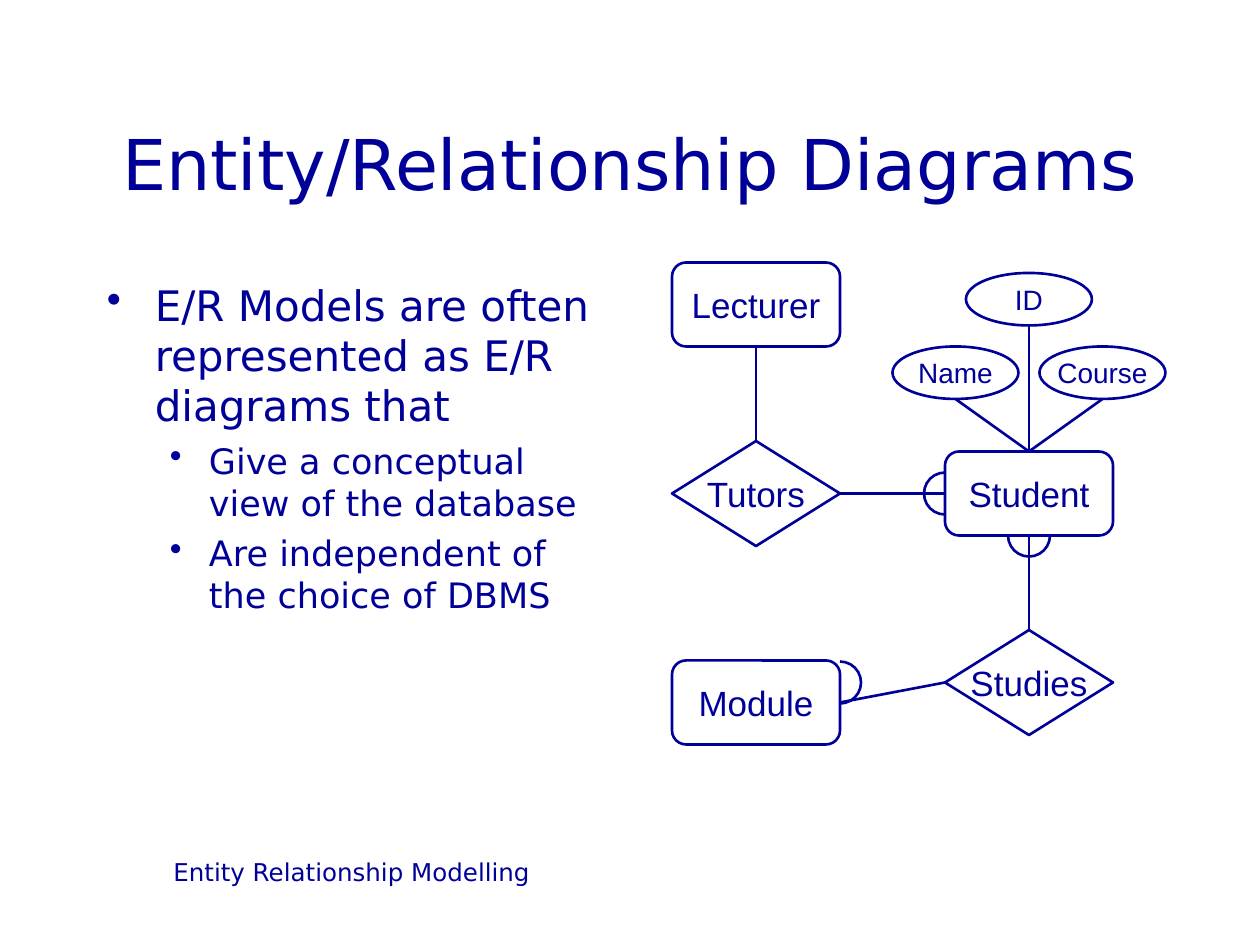
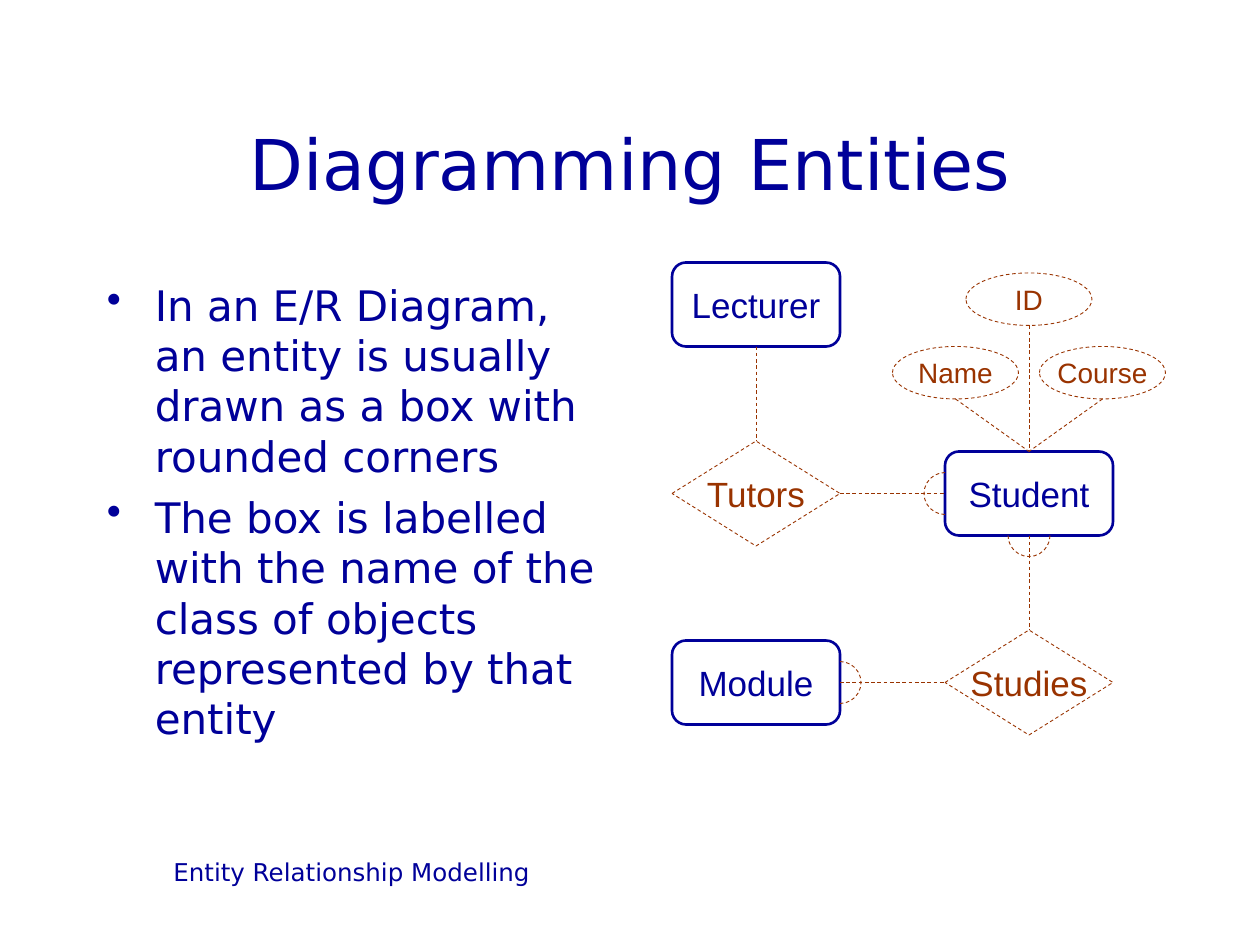
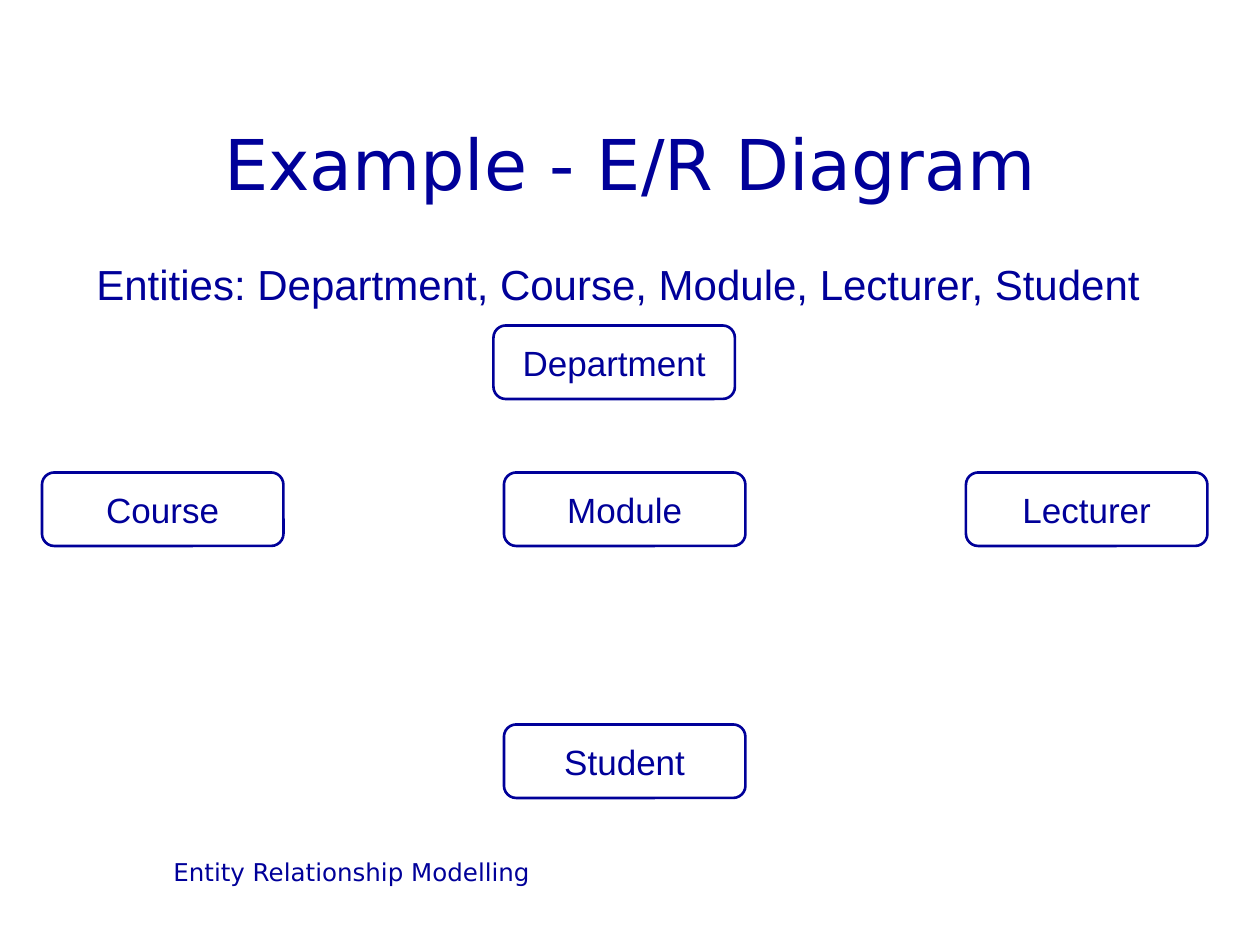
from lxml import etree
from pptx import Presentation
from pptx.dml.color import RGBColor
from pptx.enum.dml import MSO_LINE
from pptx.enum.shapes import MSO_CONNECTOR, MSO_SHAPE
from pptx.enum.text import MSO_ANCHOR, PP_ALIGN
from pptx.oxml.ns import qn
from pptx.util import Emu, Inches, Pt

NAVY = RGBColor(0x00, 0x00, 0x99)
RUST = RGBColor(0x99, 0x33, 0x00)
SANS, ARIAL = "DejaVu Sans", "Arial"
ROUND, DIAMOND = MSO_SHAPE.ROUNDED_RECTANGLE, MSO_SHAPE.DIAMOND
OVAL, ARC = MSO_SHAPE.OVAL, MSO_SHAPE.ARC
STRAIGHT, DASH = MSO_CONNECTOR.STRAIGHT, MSO_LINE.DASH
LEFT, CENTER = PP_ALIGN.LEFT, PP_ALIGN.CENTER
TOP, MIDDLE = MSO_ANCHOR.TOP, MSO_ANCHOR.MIDDLE

# Line styles: colour, width, dash
BOLD = (NAVY, 1.5, None)
FAINT = (RUST, 0.5, DASH)

# The slide is a grid of 120 columns by 90 rows; boxes are left, top, width, height
COLS, ROWS = 120, 90
CELL = Inches(10) // COLS
TITLE = (9, 8, 102, 15)
FOOT = (9, 81, 49, 6)
BODY = (9, 26, 50, 54)
LEAD = (8, 24, 104, 6)
CHART = (64, 25, 47, 45)
WHOLE = (0, 0, COLS, ROWS)

# Bullet levels: text size, left margin, hanging indent, space before
LEVELS = [(24, 0.38, 0.38, 6), (20, 0.81, 0.31, 5)]

# Joins: from, side, to, side (0 top, 1 left, 2 bottom, 3 right)
JOINS = [
    ("Lecturer", 2, "Tutors", 0),
    ("Tutors", 3, "Student", 1),
    ("Student", 2, "Studies", 0),
    ("Module", 3, "Studies", 1),
]


def grid(*cells):
    return [Emu(round(n * CELL)) for n in cells]


def within(box, left, top, *size):
    return grid(box[0] + left, box[1] + top, *size)


def style(para, size, face, color):
    para.font.size = Pt(size)
    para.font.name = face
    para.font.color.rgb = color


def write(slide, box, text, size, face=SANS, align=CENTER, anchor=TOP):
    frame = slide.shapes.add_textbox(*grid(*box)).text_frame
    frame.word_wrap = True
    frame.vertical_anchor = anchor
    para = frame.paragraphs[0]
    para.text = text
    para.alignment = align
    style(para, size, face, NAVY)


def stroke(line, pen):
    color, width, dash = pen
    line.color.rgb = color
    line.width = Pt(width)
    if dash:
        line.dash_style = dash


def outline(slide, kind, place, pen):
    shape = slide.shapes.add_shape(kind, *place)
    shape.shadow.inherit = False
    shape.fill.background()
    stroke(shape.line, pen)
    return shape


def node(slide, kind, place, text, pen=BOLD, size=20):
    shape = outline(slide, kind, place, pen)
    if kind == ROUND:
        shape.adjustments[0] = 0.167
    frame = shape.text_frame
    frame.word_wrap = False
    frame.vertical_anchor = MIDDLE
    para = frame.paragraphs[0]
    para.text = text
    para.alignment = CENTER
    style(para, size, ARIAL, pen[0])
    return shape


def link(slide, pen, end, side, start):
    """Draw a line from a point to the middle of a side of a shape."""
    line = slide.shapes.add_connector(STRAIGHT, *start, *start)
    line.end_connect(end, side)
    stroke(line.line, pen)
    etree.SubElement(line._element.spPr, qn("a:effectLst"))
    return line


def bullets(slide, box, items):
    frame = slide.shapes.add_textbox(*grid(*box)).text_frame
    frame.word_wrap = True
    for i, (level, text) in enumerate(items):
        para = frame.add_paragraph() if i else frame.paragraphs[0]
        size, margin, hang, gap = LEVELS[level]
        para.text = text
        para.level = level
        para.space_before = Pt(gap)
        style(para, size, SANS, NAVY)
        props = para._p.get_or_add_pPr()
        props.set("marL", str(Inches(margin)))
        props.set("indent", str(-Inches(hang)))
        etree.SubElement(props, qn("a:buChar"), char="•")


def diagram(slide, box, pen, row):
    """Draw the tutoring model; pen is for all but entities, row places Module."""
    nodes = {}
    # Entities
    for name, left, top in [("Student", 26, 18), ("Lecturer", 0, 0), ("Module", 0, row)]:
        nodes[name] = node(slide, ROUND, within(box, left, top, 16, 8), name)
    # Relationships
    for name, left, top in [("Tutors", 0, 17), ("Studies", 26, 35)]:
        nodes[name] = node(slide, DIAMOND, within(box, left, top, 16, 10), name, pen)
    for tail, out, head, into in JOINS:
        line = link(slide, pen, nodes[head], into, (0, 0))
        line.begin_connect(nodes[tail], out)
    # Half circles on the "many" ends: centre, first and last angle
    for x, y, first, last in [(16, 40, 270, 90), (26, 22, 90, 270), (34, 26, 0, 180)]:
        arc = outline(slide, ARC, within(box, x - 2, y - 2, 4, 4), pen)
        arc.adjustments[0] = first * 0.6
        arc.adjustments[1] = last * 0.6
    # Attributes of Student
    for name, left, top in [("ID", 28, 1), ("Course", 35, 8), ("Name", 21, 8)]:
        node(slide, OVAL, within(box, left, top, 12, 5), name, pen, 16)
        link(slide, pen, nodes["Student"], 0, within(box, left + 6, top + 5))


def entities(slide, box):
    places = [("Module", 48, 45), ("Course", 4, 45), ("Department", 47, 31),
              ("Student", 48, 69), ("Lecturer", 92, 45)]
    for name, left, top in places:
        node(slide, ROUND, within(box, left, top, 23, 7), name)


def page(deck, title):
    slide = deck.slides.add_slide(deck.slide_layouts[6])
    write(slide, FOOT, "Entity Relationship Modelling", 14)
    write(slide, TITLE, title, 40, anchor=MIDDLE)
    return slide


def main():
    deck = Presentation()
    deck.slide_width, deck.slide_height = grid(COLS, ROWS)

    # Slide 1: the whole diagram
    slide = page(deck, "Entity/Relationship Diagrams")
    bullets(slide, BODY, [
        (0, "E/R Models are often represented as E/R diagrams that"),
        (1, "Give a conceptual view of the database"),
        (1, "Are independent of the choice of DBMS"),
    ])
    diagram(slide, CHART, BOLD, 37.9)

    # Slide 2: entities stand out
    slide = page(deck, "Diagramming Entities")
    bullets(slide, BODY, [
        (0, "In an E/R Diagram, an entity is usually drawn as a box with rounded corners"),
        (0, "The box is labelled with the name of the class of objects "
            "represented by that entity"),
    ])
    diagram(slide, CHART, FAINT, 36)

    # Slide 3: entities of the example
    slide = page(deck, "Example - E/R Diagram")
    entities(slide, WHOLE)
    write(slide, LEAD, "Entities: Department, Course, Module, Lecturer, Student",
          24, ARIAL, LEFT)

    deck.save("out.pptx")


if __name__ == "__main__":
    main()
